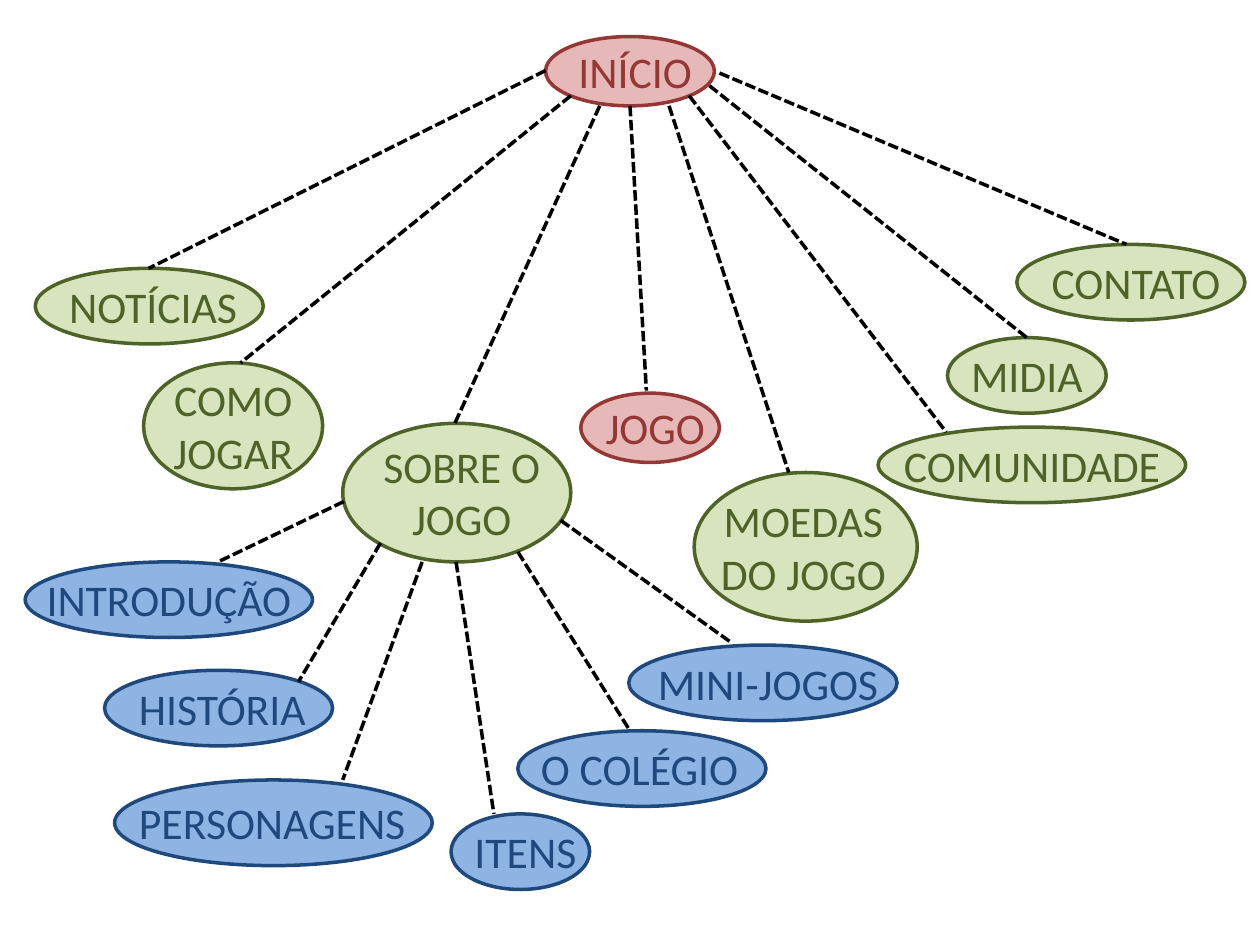
import pptx
import pptx.dml.color
import pptx.enum.dml
import pptx.enum.shapes
import pptx.enum.text
import pptx.oxml.ns
import pptx.util
from lxml import etree

COLUMNS, ROWS = 100, 75
SLIDE_W, SLIDE_H = pptx.util.Inches(10), pptx.util.Inches(7.5)
FONT, TEXT_SIZE, LINE_WIDTH = "Calibri", 25, 2
TEXT_HEIGHT = {1: 5.2, 2: 9.4}  # grid rows for each number of text lines

COLORS = {
    "main_fill": "E6B9B8", "main": "953735",
    "section_fill": "D7E4BD", "section": "4F6228",
    "topic_fill": "8EB4E3", "topic": "1F497D",
    "link": "000000",
}

# label, level, ellipse (column, row, width, height), text (column, width), lines
NODES = [
    ("INÍCIO", "main", (43.3, 2.9, 13.4, 5.5), (43.3, 14.2), 1),
    ("SOBRE O JOGO", "section", (27.2, 33.6, 18.1, 11), (28, 17.3), 2),
    ("COMO JOGAR", "section", (11.4, 28.8, 14.2, 10), (11.4, 14.2), 2),
    ("JOGO", "main", (46.1, 31.2, 11, 5.5), (46.9, 10.2), 1),
    ("NOTÍCIAS", "section", (2.8, 21.3, 18.1, 6), (3.5, 17.3), 1),
    ("MOEDAS DO JOGO", "section", (55.1, 37.5, 17.7, 11.8), (55.5, 16.5), 2),
    ("HISTÓRIA", "topic", (8.3, 53.2, 18.1, 6), (9, 17.3), 1),
    ("COMUNIDADE", "section", (69.7, 33.9, 24.4, 6), (69.7, 24.4), 1),
    ("MIDIA", "section", (75.2, 26.8, 12.6, 6), (76, 11), 1),
    ("CONTATO", "section", (80.7, 19.4, 18.1, 6), (81.5, 17.3), 1),
    ("INTRODUÇÃO", "topic", (2, 44.6, 22.8, 6), (2, 22.8), 1),
    ("PERSONAGENS", "topic", (9.1, 61.9, 25.2, 6.8), (9.8, 23.6), 1),
    ("MINI-JOGOS", "topic", (49.9, 51.2, 21.3, 6), (50.6, 20.7), 1),
    ("O COLÉGIO", "topic", (41.1, 58, 19.7, 6), (41.3, 18.9), 1),
    ("ITENS", "topic", (35.8, 64.6, 11, 6), (35, 13.4), 1),
]

# start and end as (column, row)
HOME_LINKS = [
    ((43.3, 5.6), (11.8, 21.3)),
    ((45.3, 7.6), (19.1, 28.8)),
    ((47.6, 8.4), (36.1, 33.6)),
    ((50, 8.4), (51.3, 31)),
    ((53.1, 8.4), (62.6, 37.5)),
    ((54.7, 7.6), (75.1, 34.3)),
    ((56.3, 6.8), (81.5, 26.8)),
    ((57.1, 5.8), (89.4, 19.4)),
]
ABOUT_LINKS = [
    ((27.3, 39.8), (17.3, 44.6)),
    ((30.2, 43.1), (23.7, 54.1)),
    ((33.5, 44.6), (27.2, 61.9)),
    ((36.2, 44.6), (39.2, 64.6)),
    ((41.1, 43.8), (50, 58)),
    ((44.5, 41.3), (57.9, 50.9)),
]


def x(columns):
    return round(SLIDE_W * columns / COLUMNS)


def y(rows):
    return round(SLIDE_H * rows / ROWS)


def rgb(name):
    return pptx.dml.color.RGBColor.from_string(COLORS[name])


def add_ellipse(s, level, box):
    left, top, width, height = box
    sp = s.shapes.add_shape(pptx.enum.shapes.MSO_SHAPE.OVAL,
                            x(left), y(top), x(width), y(height))
    sp.shadow.inherit = False
    sp.fill.solid()
    sp.fill.fore_color.rgb = rgb(level + "_fill")
    sp.line.color.rgb = rgb(level)
    sp.line.width = pptx.util.Pt(LINE_WIDTH)


def add_label(s, text, level, left, width, middle, lines):
    """Add a centred label whose vertical middle lies on the given row."""
    height = TEXT_HEIGHT[lines]
    sp = s.shapes.add_textbox(x(left), y(middle - height / 2), x(width), y(height))
    tf = sp.text_frame
    tf.word_wrap = True
    tf.auto_size = pptx.enum.text.MSO_AUTO_SIZE.SHAPE_TO_FIT_TEXT
    tf.text = text
    p = tf.paragraphs[0]
    p.alignment = pptx.enum.text.PP_ALIGN.CENTER
    r = p.runs[0]
    r.font.name = FONT
    r.font.size = pptx.util.Pt(TEXT_SIZE)
    r.font.color.rgb = rgb(level)


def add_node(s, text, level, box, text_span, lines):
    add_ellipse(s, level, box)
    middle = box[1] + box[3] / 2
    add_label(s, text, level, *text_span, middle, lines)


def add_link(s, start, end):
    sp = s.shapes.add_connector(pptx.enum.shapes.MSO_CONNECTOR.STRAIGHT,
                                x(start[0]), y(start[1]), x(end[0]), y(end[1]))
    sp.line.color.rgb = rgb("link")
    sp.line.width = pptx.util.Pt(LINE_WIDTH)
    sp.line.dash_style = pptx.enum.dml.MSO_LINE.SQUARE_DOT
    etree.SubElement(sp._element.spPr, pptx.oxml.ns.qn("a:effectLst"))


def main():
    prs = pptx.Presentation()
    prs.slide_width, prs.slide_height = SLIDE_W, SLIDE_H
    s = prs.slides.add_slide(prs.slide_layouts[6])
    for node in NODES:
        add_node(s, *node)
    for start, end in HOME_LINKS + ABOUT_LINKS:
        add_link(s, start, end)
    prs.save("out.pptx")


if __name__ == "__main__":
    main()
